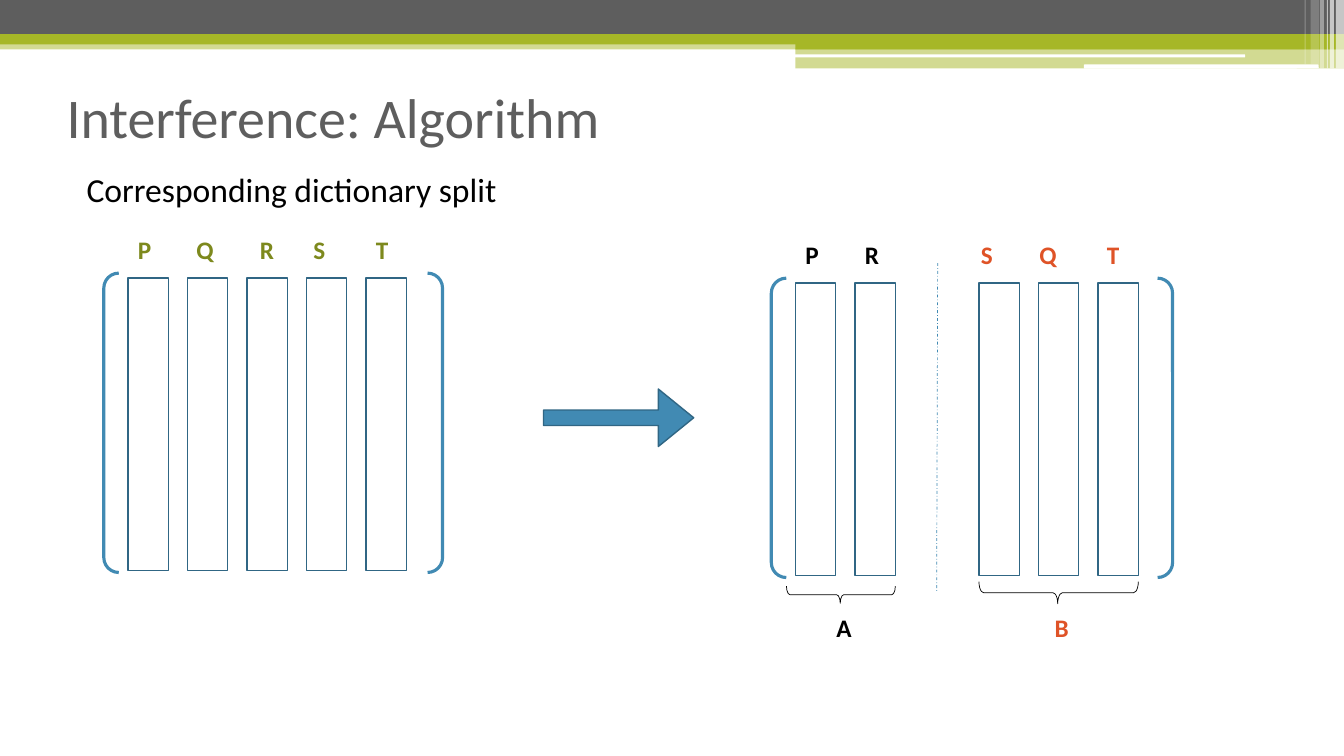
from dataclasses import dataclass
from typing import Optional

from lxml.etree import SubElement as Sub
from pptx import Presentation
from pptx.dml.color import RGBColor
from pptx.enum.dml import MSO_LINE_DASH_STYLE as Dash
from pptx.enum.shapes import MSO_CONNECTOR as Conn, MSO_SHAPE as Geo
from pptx.enum.text import MSO_ANCHOR as Anchor, MSO_AUTO_SIZE as Fit, PP_ALIGN as Align
from pptx.oxml.ns import qn
from pptx.util import Inches, Pt


@dataclass(frozen=True)
class Theme:
    font: str = "Calibri"
    gray: str = "5E5E5E"
    lime: str = "A6B727"
    olive: str = "7D891D"
    blue: str = "418AB3"
    navy: str = "306684"
    red: str = "DF5327"
    black: str = "000000"
    white: str = "FFFFFF"
    head: int = 40
    body: int = 24
    label: int = 18


T = Theme()


@dataclass
class Box:
    x: float
    y: float
    w: float
    h: float
    geo: Geo = Geo.RECTANGLE
    fill: Optional[str] = None
    alpha: int = 100
    line: Optional[str] = None
    width: float = 1
    adj: tuple[float, ...] = ()
    turn: int = 0


@dataclass
class Run:
    text: str
    color: str
    size: int = T.label
    bold: bool = True


@dataclass
class Matrix:
    x: float
    y: float
    w: float
    gaps: tuple[float, ...]  # extra space before each column
    runs: tuple[Run, ...]
    tabs: tuple[float, ...]


@dataclass
class Part:
    x: float  # centre of the brace
    y: float
    span: float
    depth: float
    name: Run


def draw(slide, box: Box):
    shape = slide.shapes.add_shape(
        box.geo, *(Inches(v) for v in (box.x, box.y, box.w, box.h)))
    shape.shadow.inherit = False
    shape.rotation = box.turn
    for i, value in enumerate(box.adj):
        shape.adjustments[i] = value
    if box.fill:
        shape.fill.solid()
        shape.fill.fore_color.rgb = RGBColor.from_string(box.fill)
        if box.alpha < 100:
            tint = next(shape.fill._xPr.iter(qn("a:srgbClr")))
            Sub(tint, qn("a:alpha"), val=str(box.alpha * 1000))
    else:
        shape.fill.background()
    if box.line:
        shape.line.color.rgb = RGBColor.from_string(box.line)
        shape.line.width = Pt(box.width)
    else:
        shape.line.fill.background()
    return shape


def write(shape, runs: tuple[Run, ...], align=Align.LEFT):
    frame = shape.text_frame
    look = {"word_wrap": True, "auto_size": Fit.NONE, "vertical_anchor": Anchor.TOP}
    for key, value in look.items():
        setattr(frame, key, value)
    para = frame.paragraphs[0]
    para.alignment = align
    for item in runs:
        run = para.add_run()
        run.text = item.text
        form = {"name": T.font, "size": Pt(item.size), "bold": item.bold}
        for key, value in form.items():
            setattr(run.font, key, value)
        run.font.color.rgb = RGBColor.from_string(item.color)
    return para


def text(slide, x: float, y: float, w: float, h: float, runs: tuple[Run, ...],
         align=Align.LEFT):
    area = slide.shapes.add_textbox(Inches(x), Inches(y), Inches(w), Inches(h))
    return write(area, runs, align)


def matrix(slide, m: Matrix) -> None:
    draw(slide, Box(m.x, m.y, m.w, 2.97, Geo.DOUBLE_BRACKET, line=T.blue,
                    width=2.25, adj=(0.05,)))
    left = m.x + 0.24
    for i in range(len(m.gaps)):
        shift = sum(m.gaps[:i + 1])
        draw(slide, Box(left + 0.59 * i + shift, m.y + 0.05, 0.4, 2.9, line=T.navy))
    para = text(slide, left, m.y - 0.43, 3.53, 0.4, m.runs)
    stops = Sub(para._p.get_or_add_pPr(), qn("a:tabLst"))
    for pos in m.tabs:
        Sub(stops, qn("a:tab"), pos=str(Inches(pos)), algn="l")


def brace(slide, p: Part) -> None:
    draw(slide, Box(p.x - p.depth / 2, p.y - p.span / 2, p.depth, p.span,
                    Geo.LEFT_BRACE, line=T.black, width=0.5,
                    adj=(0.209, 0.494), turn=270))
    text(slide, p.x - 0.37, 6.03, 0.8, 0.4, (p.name,), Align.CENTER)


BAND = [
    Box(0, 0.4, 13.33, 0.09, fill=T.lime, alpha=50),
    Box(0, 0, 13.33, 0.34, fill=T.gray),
    Box(0, 0.34, 13.33, 0.1, fill=T.lime),
    Box(7.89, 0.39, 5.44, 0.1, fill=T.lime),
    Box(7.89, 0.48, 5.44, 0.2, fill=T.lime, alpha=50),
    Box(7.88, 0.54, 4.47, 0.03, Geo.ROUNDED_RECTANGLE, T.white),
    Box(10.75, 0.64, 2.33, 0.04, Geo.ROUNDED_RECTANGLE, T.white),
] + [
    Box(x, 0, w, h, fill=T.white, alpha=alpha)
    for x, w, h, alpha in (
        (13.25, 0.08, 0.68, 65), (13.19, 0.04, 0.68, 65), (13.16, 0.01, 0.68, 60),
        (13.09, 0.04, 0.68, 40), (13, 0.08, 0.64, 20), (12.94, 0.01, 0.64, 30))
]
GRIDS = [
    Matrix(1.03, 2.71, 3.36, (0,) * 5, (Run("P\tQ\tR\tS\tT", T.olive),),
           (0.58, 1.21, 1.74, 2.36)),
    Matrix(7.65, 2.76, 3.98, (0, 0, 0.64, 0, 0),
           (Run("P\tR\t", T.black), Run("S\tQ\tT", T.red)),
           (0.59, 1.74, 2.32, 2.99)),
]
PARTS = [
    Part(8.34, 5.9, 1.08, 0.17, Run("A", T.black)),
    Part(10.5, 5.88, 1.58, 0.22, Run("B", T.red)),
]


def main() -> None:
    deck = Presentation()
    deck.slide_width, deck.slide_height = Inches(13.33), Inches(7.5)
    slide = deck.slides.add_slide(deck.slide_layouts[5])

    # Header band
    for box in BAND:
        draw(slide, box)

    # Title and subtitle
    title = slide.shapes.title
    place = {"left": 0.56, "top": 0.77, "width": 12.65, "height": 1.17}
    for key, value in place.items():
        setattr(title, key, Inches(value))
    write(title, (Run("Interference: Algorithm", T.gray, T.head, False),))
    para = text(slide, 0.76, 1.55, 12.05, 0.55,
                (Run("Corresponding dictionary split", T.black, T.body, False),))
    para.line_spacing, para.space_after = 1.2, Pt(2)

    # Dictionaries and their parts
    for grid in GRIDS:
        matrix(slide, grid)
    for part in PARTS:
        brace(slide, part)

    # Divider between the parts
    split = slide.shapes.add_connector(
        Conn.STRAIGHT, Inches(9.3), Inches(2.61), Inches(9.29), Inches(5.88))
    Sub(split._element.spPr, qn("a:effectLst"))
    split.line.color.rgb = RGBColor.from_string(T.blue)
    split.line.width = Pt(0.5)
    split.line.dash_style = Dash.DASH_DOT

    # Arrow from the whole to the split
    draw(slide, Box(5.39, 3.86, 1.49, 0.57, Geo.RIGHT_ARROW, T.blue,
                    line=T.navy, adj=(0.269, 0.615)))
    deck.save("out.pptx")


if __name__ == "__main__":
    main()
